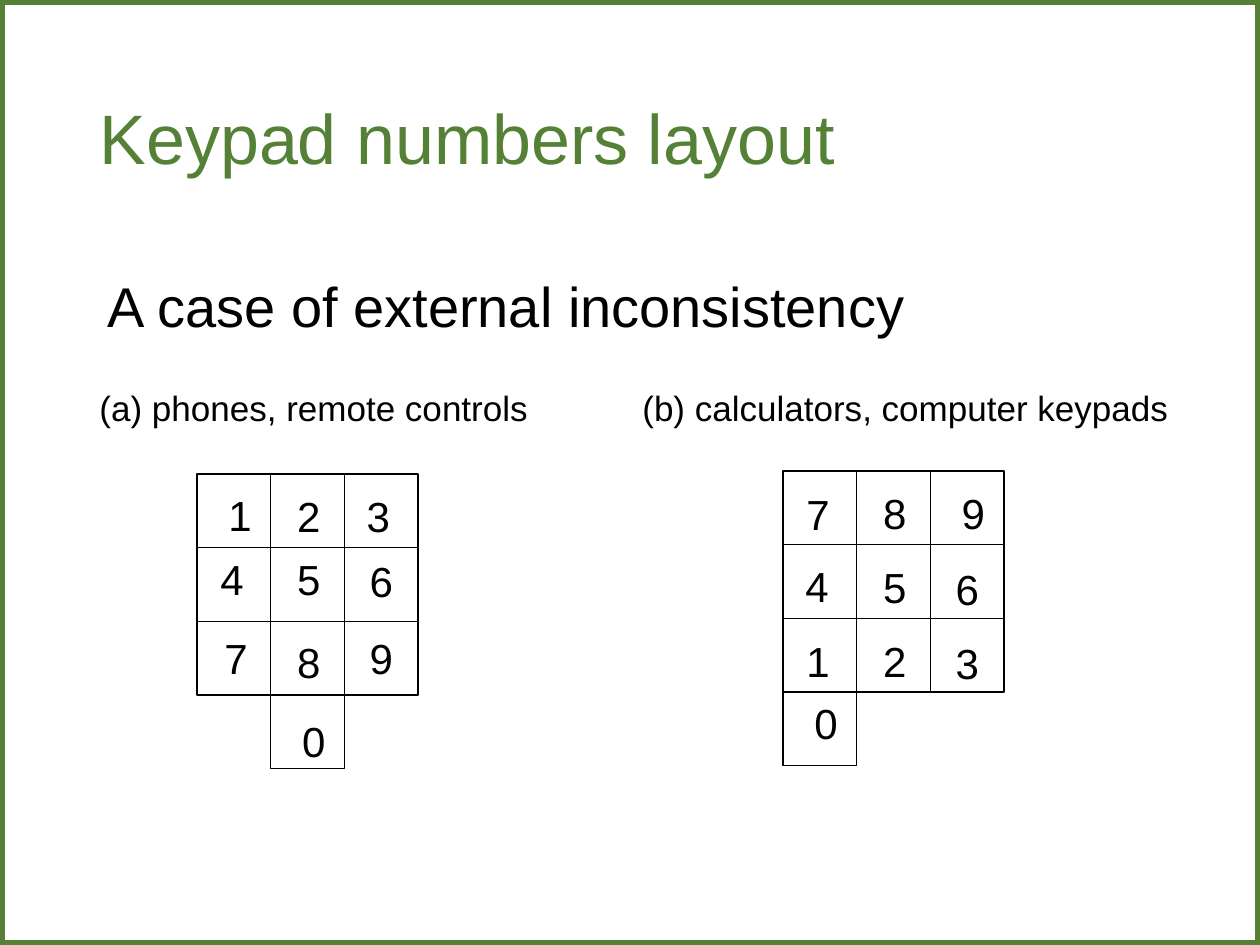
from lxml import etree
from pptx import Presentation
from pptx import util as u
from pptx.dml.color import RGBColor
from pptx.enum import shapes, text
from pptx.oxml.ns import qn

# Content
TITLE = "Keypad numbers layout"
STATEMENT = "A case of external inconsistency"

# Each key: digit, column, row, then the digit's offset from the key's corner
KEYPADS = [
    {
        "caption": "(a) phones, remote controls",
        "caption_box": (87, 380, 457, 55),
        "corner": (197, 474),
        "keys": [
            ("1", 0, 0, 19, 9), ("2", 1, 0, 14, 10), ("3", 2, 0, 10, 10),
            ("4", 0, 1, 11, 0), ("5", 1, 1, 14, 0), ("6", 2, 1, 13, 2),
            ("7", 0, 2, 15, 5), ("8", 1, 2, 14, 9), ("9", 2, 2, 13, 5),
            ("0", 1, 3, 19, 14),
        ],
    },
    {
        "caption": "(b) calculators, computer keypads",
        "caption_box": (630, 380, 556, 55),
        "corner": (783, 471),
        "keys": [
            ("7", 0, 0, 11, 11), ("8", 1, 0, 14, 10), ("9", 2, 0, 19, 10),
            ("4", 0, 1, 10, 10), ("5", 1, 1, 14, 11), ("6", 2, 1, 13, 13),
            ("1", 0, 2, 11, 11), ("2", 1, 2, 14, 11), ("3", 2, 2, 13, 13),
            ("0", 0, 3, 19, -1),
        ],
    },
]

# Style and sizes
GREEN = RGBColor(0x54, 0x81, 0x35)
BLACK = RGBColor(0, 0, 0)
FONT = "Arial"
PX = u.Inches(1) / 126
SLIDE_SIZE = (1260, 945)
KEY_SIZE = 221 / 3  # three keys span 221 px
DIGIT_SIZE = (49, 63)


def emu(*lengths):
    return [round(length * PX) for length in lengths]


def style_text(shape, content, size, color):
    frame = shape.text_frame
    frame.text = content
    frame.word_wrap = True
    frame.auto_size = text.MSO_AUTO_SIZE.NONE
    paragraph = frame.paragraphs[0]
    paragraph.alignment = text.PP_ALIGN.LEFT
    font = paragraph.runs[0].font
    font.name, font.size, font.color.rgb = FONT, u.Pt(size), color
    return paragraph


def fill_placeholder(shape, box, content, size, color):
    shape.left, shape.top, shape.width, shape.height = emu(*box)
    paragraph = style_text(shape, content, size, color)
    paragraph.line_spacing = 0.9
    paragraph.space_before = u.Pt(0)
    return paragraph


def add_label(slide, box, content, size):
    style_text(slide.shapes.add_textbox(*emu(*box)), content, size, BLACK)


def add_outline(slide, box, color, weight):
    shape = slide.shapes.add_shape(shapes.MSO_SHAPE.RECTANGLE, *emu(*box))
    shape.shadow.inherit = False
    shape.fill.background()
    shape.line.color.rgb = color
    shape.line.width = u.Pt(weight)
    return shape


def add_keypad(slide, keypad):
    add_label(slide, keypad["caption_box"], keypad["caption"], 20)
    left, top = keypad["corner"]
    for digit, column, row, dx, dy in keypad["keys"]:
        x, y = left + column * KEY_SIZE, top + row * KEY_SIZE
        add_outline(slide, (x, y, KEY_SIZE, KEY_SIZE), BLACK, 0.75)
        add_label(slide, (x + dx, y + dy, *DIGIT_SIZE), digit, 24)


def main():
    presentation = Presentation()
    presentation.slide_width, presentation.slide_height = emu(*SLIDE_SIZE)
    slide = presentation.slides.add_slide(presentation.slide_layouts[1])
    title, body = slide.placeholders

    # Slide border, behind everything else
    border = add_outline(slide, (0, 0, *SLIDE_SIZE), GREEN, 6)
    title.element.addprevious(border.element)

    # Title and statement
    fill_placeholder(title, (87, 50, 1086, 183), TITLE, 40, GREEN)
    title.text_frame.vertical_anchor = text.MSO_ANCHOR.MIDDLE
    paragraph = fill_placeholder(body, (95, 273, 1102, 567), STATEMENT, 32, BLACK)
    properties = paragraph.runs[0].font and paragraph._p.get_or_add_pPr()
    properties.set("marL", "0")
    properties.set("indent", "0")
    etree.SubElement(properties, qn("a:buNone"))

    # Keypads
    for keypad in KEYPADS:
        add_keypad(slide, keypad)

    presentation.save("out.pptx")


if __name__ == "__main__":
    main()
